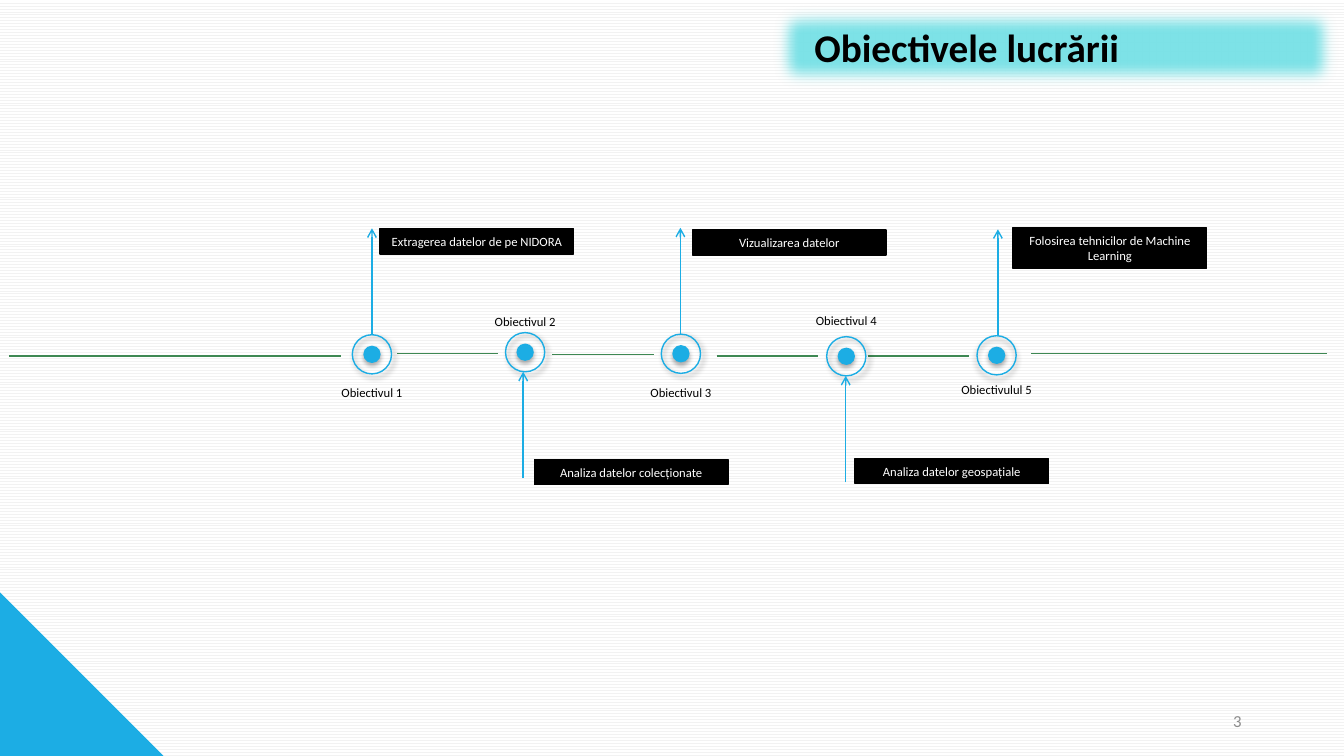
from dataclasses import dataclass

from lxml.etree import SubElement
from pptx import Presentation
from pptx.dml.color import RGBColor
from pptx.enum.dml import MSO_PATTERN
from pptx.enum.shapes import MSO_CONNECTOR, MSO_SHAPE
from pptx.enum.text import MSO_ANCHOR, MSO_AUTO_SIZE, PP_ALIGN
from pptx.oxml.ns import qn
from pptx.util import Pt


@dataclass(frozen=True)
class Theme:
    font: str = "Calibri"
    blue: str = "1CADE4"
    green: str = "3E8853"
    aqua: str = "7DE2E7"
    black: str = "000000"
    white: str = "FFFFFF"
    stripe: str = "F2F2F2"
    grey: str = "8C8C8C"
    title_size: float = 28
    number_size: float = 12
    small_size: float = 9
    line_width: float = 1


@dataclass(frozen=True)
class Objective:
    label: str
    task: str
    x: float  # ring centre
    y: float
    arrow_x: float
    card_x: float
    card_y: float
    label_y: float
    card_height: float = 18
    upward: bool = True
    shadow_angle: int = 45


THEME = Theme()
RING, DOT = 28, 12.4
ARROW_REACH = 90
CARD_WIDTH, LABEL_WIDTH, LABEL_HEIGHT = 138.4, 72, 18

# Positions are relative to the timeline box
OBJECTIVES = [
    Objective("Obiectivul 1", "Extragerea datelor de pe NIDORA",
              265.7, 93.1, 265.7, 271.4, 3.4, 111.4),
    Objective("Obiectivul 2", "Analiza datelor colecționate",
              375.1, 91.6, 373.7, 381.6, 168.3, 61, upward=False),
    Objective("Obiectivul 3", "Vizualizarea datelor",
              486.4, 92.7, 486, 494.6, 4.2, 111.4),
    Objective("Obiectivul 4", "Analiza datelor geospațiale",
              604.5, 94.5, 604.1, 610.6, 167.6, 59.6, upward=False),
    Objective("Obiectivulul 5", "Folosirea tehnicilor de Machine Learning",
              711.9, 93.8, 712.8, 723.6, 2.7, 109.3,
              card_height=29, shadow_angle=90),
]
# Start, end and height of each stretch of the axis
AXIS = [
    (6.5, 243.4, 94.2), (283.7, 355.9, 92.7), (394.6, 467, 93.4),
    (511.9, 584.2, 94.2), (620, 692.4, 94.2), (736.6, 948.2, 92.7),
]


def color(value):
    return RGBColor.from_string(value)


def add_figure(slide, kind, box, fill=None, line=None):
    figure = slide.shapes.add_shape(kind, *map(Pt, box))
    figure.shadow.inherit = False
    if fill:
        figure.fill.solid()
        figure.fill.fore_color.rgb = color(fill)
    else:
        figure.fill.background()
    if line:
        figure.line.color.rgb = color(line)
        figure.line.width = Pt(THEME.line_width)
    else:
        figure.line.fill.background()
    return figure


def add_effect(figure, name, **attributes):
    effects = figure._element.spPr.find(qn("a:effectLst"))
    return SubElement(effects, qn(name),
                      {key: str(value) for key, value in attributes.items()})


def cast_shadow(figure, opacity, blur, distance, angle):
    shadow = add_effect(figure, "a:outerShdw", blurRad=Pt(blur),
                        dist=Pt(distance), dir=angle * 60000, rotWithShape=0)
    black = SubElement(shadow, qn("a:srgbClr"), val=THEME.black)
    SubElement(black, qn("a:alpha"), val=str(opacity * 1000))


def add_line(slide, start, end, tint, arrow=False):
    line = slide.shapes.add_connector(MSO_CONNECTOR.STRAIGHT,
                                      *map(Pt, (*start, *end)))
    line.line.color.rgb = color(tint)
    line.line.width = Pt(THEME.line_width)
    if arrow:
        SubElement(line.line._get_or_add_ln(), qn("a:tailEnd"), type="arrow")
    SubElement(line._element.spPr, qn("a:effectLst"))


def write(holder, text, size, tint, align, anchor=MSO_ANCHOR.TOP, bold=False):
    frame = holder.text_frame
    frame.word_wrap = True
    frame.auto_size = MSO_AUTO_SIZE.NONE
    frame.vertical_anchor = anchor
    paragraph = frame.paragraphs[0]
    paragraph.alignment = align
    run = paragraph.add_run()
    run.text = text
    run.font.name = THEME.font
    run.font.size = Pt(size)
    run.font.bold = bold
    run.font.color.rgb = color(tint)


def draw_background(slide, box):
    left, top, _, height = box
    pattern = slide.background.fill
    pattern.patterned()
    pattern.pattern = MSO_PATTERN.ZIG_ZAG
    pattern.fore_color.rgb = color(THEME.stripe)
    pattern.back_color.rgb = color(THEME.white)
    # Corner triangle
    side = 116.8
    add_figure(slide, MSO_SHAPE.RIGHT_TRIANGLE,
               (left, top + height - side, side, side), THEME.blue)


def draw_title(slide, box):
    left, top, width, height = box
    banner = add_figure(slide, MSO_SHAPE.RECTANGLE, box, THEME.aqua)
    add_effect(banner, "a:softEdge", rad=Pt(12.5))
    title = slide.shapes.add_textbox(
        *map(Pt, (left + 26.6, top + 13, width - 53.4, height - 26.6)))
    write(title, "Obiectivele lucrării", THEME.title_size, THEME.black,
          PP_ALIGN.LEFT, bold=True)


def draw_objective(slide, origin, goal):
    left, top = origin
    x, y, arrow_x = left + goal.x, top + goal.y, left + goal.arrow_x
    # Marker
    dot, ring = (
        add_figure(slide, MSO_SHAPE.FLOWCHART_CONNECTOR,
                   (x - size / 2, y - size / 2, size, size), fill, line)
        for size, fill, line in ((DOT, THEME.blue, None),
                                 (RING, None, THEME.blue)))
    cast_shadow(dot, 32, 3.5, 2.2, 90)
    cast_shadow(ring, 40, 4, 3, goal.shadow_angle)
    # Arrow, always pointing up
    if goal.upward:
        start, end = y - RING / 2, y - ARROW_REACH
    else:
        start, end = y + ARROW_REACH, y + RING / 2
    add_line(slide, (arrow_x, start), (arrow_x, end), THEME.blue, arrow=True)
    # Task card
    card = add_figure(slide, MSO_SHAPE.RECTANGLE,
                      (left + goal.card_x, top + goal.card_y,
                       CARD_WIDTH, goal.card_height), THEME.black, THEME.black)
    write(card, goal.task, THEME.small_size, THEME.white, PP_ALIGN.CENTER)
    # Label
    label = slide.shapes.add_textbox(
        *map(Pt, (x - LABEL_WIDTH / 2, top + goal.label_y,
                  LABEL_WIDTH, LABEL_HEIGHT)))
    write(label, goal.label, THEME.small_size, THEME.black, PP_ALIGN.CENTER)


def draw_timeline(slide, box):
    left, top = box[:2]
    for start, end, y in AXIS:
        add_line(slide, (left + start, top + y), (left + end, top + y),
                 THEME.green)
    for goal in OBJECTIVES:
        draw_objective(slide, (left, top), goal)


def draw_page_number(slide, box):
    number = slide.shapes.add_textbox(*map(Pt, box))
    write(number, "3", THEME.number_size, THEME.grey, PP_ALIGN.RIGHT,
          MSO_ANCHOR.MIDDLE)


def main():
    deck = Presentation()
    deck.slide_width, deck.slide_height = Pt(960), Pt(540)
    slide = deck.slides.add_slide(deck.slide_layouts[6])
    draw_background(slide, (0, 0, 960, 540))
    draw_title(slide, (548, 0, 412, 67.6))
    draw_timeline(slide, (0, 160, 960, 190))
    draw_page_number(slide, (678, 500.5, 216, 28.8))
    deck.save("out.pptx")


if __name__ == "__main__":
    main()
